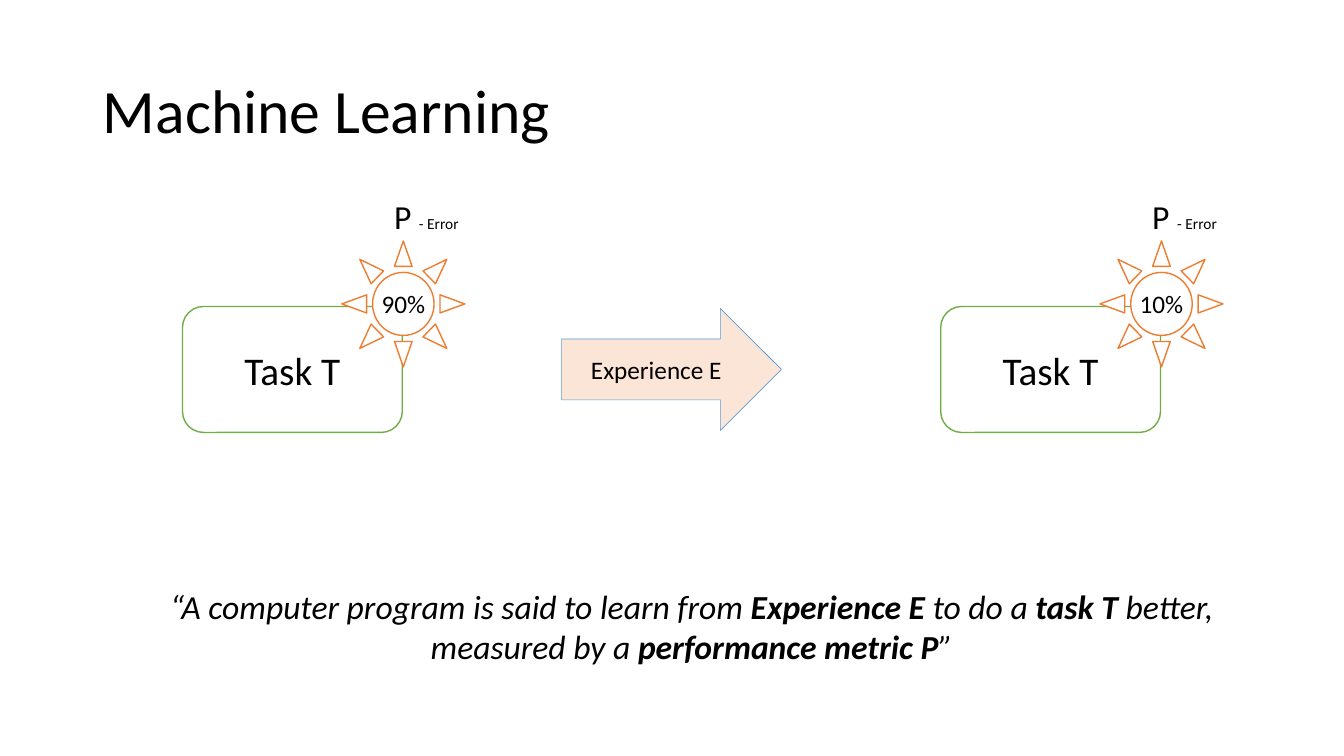
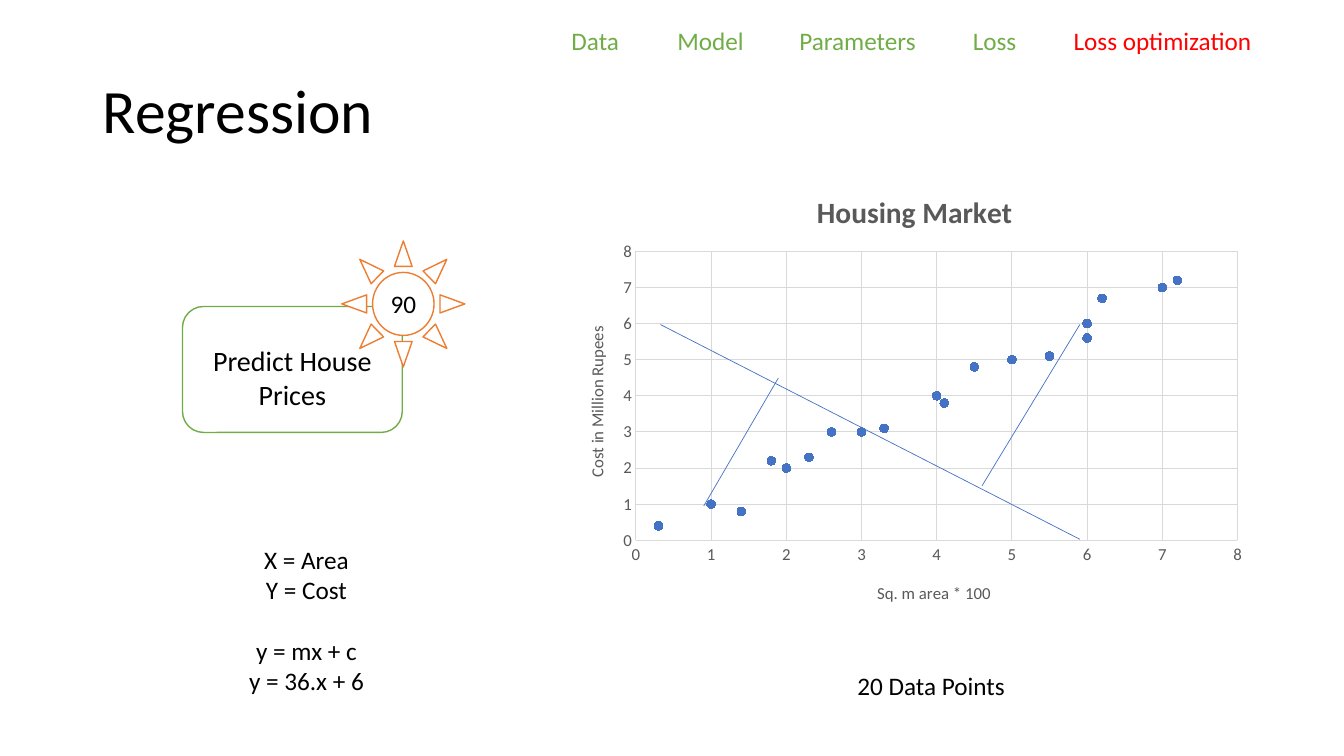
from dataclasses import dataclass

from lxml import etree
from pptx import Presentation, util as u
from pptx.chart.data import XyChartData
from pptx.dml.color import RGBColor
from pptx.enum import chart as charts, shapes, text
from pptx.oxml.ns import qn

# ---- Content ----
QUOTE = [
    [("“A computer program is said to learn from ", {}),
     ("Experience E", {"bold": True}), (" to do a ", {}),
     ("task T", {"bold": True}), (" better,", {})],
    [("measured by a ", {}), ("performance metric P", {"bold": True}),
     ("”", {})],
]
STAGES = [(1.81, "90%"), (9.33, "10%")]  # left edge, error
FORMULAS = ["X = Area", "Y = Cost", "y = mx + c", "y = 36.x + 6"]
STEPS = [("Data", 0), ("Model", 1.05), ("Parameters", 2.26),
         ("Loss", 3.98), ("Loss optimization", 4.98)]  # label, tab stop
HOUSES = [(5, 5), (6, 6), (7, 7), (1, 1), (2, 2), (3, 3), (4, 4), (1.4, 0.8),
          (1.8, 2.2), (3.3, 3.1), (4.1, 3.8), (5.5, 5.1), (6, 5.6),
          (6.2, 6.7), (4.5, 4.8), (2.3, 2.3), (0.3, 0.4), (7.2, 7.2),
          (2.6, 3)]
FIT_LINES = [((6.55, 3.22), (10.71, 5.35)), ((6.98, 5.02), (7.72, 3.75)),
             ((9.74, 4.82), (10.71, 3.22))]


# ---- Theme ----
@dataclass(frozen=True)
class Theme:
    font: str = "Calibri"
    ink: str = "000000"
    paper: str = "FFFFFF"
    green: str = "70AD47"
    orange: str = "ED7D31"
    peach: str = "FBE5D6"
    sky: str = "5B9BD5"
    blue: str = "4472C4"
    red: str = "FF0000"
    gray: str = "595959"
    grid: str = "D9D9D9"
    title: int = 44
    task: int = 28
    quote: int = 24
    chart_title: int = 21
    goal: int = 20
    body: int = 18
    axis: int = 12
    note: int = 11


T = Theme()
CENTER = text.PP_ALIGN.CENTER
MIDDLE = text.MSO_ANCHOR.MIDDLE


# ---- Helpers ----
def apply(target, **values):
    for name, value in values.items():
        setattr(target, name, value)


def rgb(code):
    return RGBColor.from_string(code)


def inches(*values):
    return [u.Inches(value) for value in values]


def style_font(font, size, color=T.ink, **values):
    apply(font, name=T.font, size=u.Pt(size), **values)
    font.color.rgb = rgb(color)


def style_line(line, color, width):
    line.color.rgb = rgb(color)
    line.width = u.Pt(width)


def write(frame, lines, size, align=text.PP_ALIGN.LEFT, **common):
    """Each line is a string or a list of (text, format) runs."""
    for i, line in enumerate(lines):
        paragraph = frame.paragraphs[0] if i == 0 else frame.add_paragraph()
        paragraph.alignment = align
        for words, extra in [(line, {})] if isinstance(line, str) else line:
            run = paragraph.add_run()
            run.text = words
            style_font(run.font, **{"size": size, **common, **extra})


def add_text(slide, box, lines, size, **values):
    frame = slide.shapes.add_textbox(*inches(*box)).text_frame
    frame.word_wrap = True
    write(frame, lines, size, **values)
    return frame


def add_figure(slide, kind, box, fill, line, lines, size, inset_top=0):
    figure = slide.shapes.add_shape(kind, *inches(*box))
    figure.shadow.inherit = False
    figure.fill.solid()
    figure.fill.fore_color.rgb = rgb(fill)
    style_line(figure.line, *line)
    frame = figure.text_frame
    apply(frame, word_wrap=False, vertical_anchor=MIDDLE, margin_left=0,
          margin_right=0, margin_top=u.Inches(inset_top), margin_bottom=0)
    write(frame, lines, size, CENTER)


def add_task(slide, left, task, size, performance, inset_top=0):
    """A task box with its performance sun on the top right corner."""
    add_figure(slide, shapes.MSO_SHAPE.ROUNDED_RECTANGLE,
               (left, 3.04, 2.18, 1.25), T.paper, (T.green, 1),
               task, size, inset_top)
    add_figure(slide, shapes.MSO_SHAPE.SUN, (left + 1.58, 2.39, 1.22, 1.25),
               T.paper, (T.orange, 1), [performance], T.body)


def add_slide(deck, heading):
    slide = deck.slides.add_slide(deck.slide_layouts[5])
    title = slide.shapes.title
    apply(title, **dict(zip(("left", "top", "width", "height"),
                            inches(0.92, 0.4, 11.5, 1.45))))
    title.text_frame.vertical_anchor = MIDDLE
    write(title.text_frame, [heading], T.title)
    title.text_frame.paragraphs[0].line_spacing = 0.9
    return slide


def place(part, **fractions):
    """Give a chart part a manual position, as fractions of the chart."""
    for old in part.findall(qn("c:layout")):
        part.remove(old)
    layout = etree.Element(qn("c:layout"))
    manual = etree.SubElement(layout, qn("c:manualLayout"))
    modes = {"xMode": "edge", "yMode": "edge"}
    if "w" in fractions:
        modes = {"layoutTarget": "inner", **modes}
    for name, value in {**modes, **fractions}.items():
        etree.SubElement(manual, qn(f"c:{name}")).set("val", str(value))
    part.insert(0 if part.find(qn("c:tx")) is None else 1, layout)


def add_chart_title(title, words, size, x, y, **values):
    write(title.text_frame, [words], size, CENTER, color=T.gray, **values)
    place(title.element, x=x, y=y)


# ---- Parts ----
def add_housing_chart(slide):
    data = XyChartData()
    points = data.add_series("Series 1")
    for area, cost in HOUSES:
        points.add_data_point(area, cost)
    chart = slide.shapes.add_chart(charts.XL_CHART_TYPE.XY_SCATTER,
                                   *inches(5.57, 1.62, 6.89, 4.53),
                                   data).chart
    style_font(chart.font, T.axis, T.gray)
    apply(chart, has_legend=False, has_title=True)
    add_chart_title(chart.chart_title, "Housing Market", T.chart_title,
                    0.36, 0.05, bold=True)
    place(chart.element.find(".//" + qn("c:plotArea")),
          x=0.107, y=0.193, w=0.866, h=0.633)

    plot = chart.plots[0]
    plot.vary_by_categories = False
    series = plot.series[0]
    series.format.line.fill.background()
    marker = series.marker
    apply(marker, style=charts.XL_MARKER_STYLE.CIRCLE, size=6)
    marker.format.fill.solid()
    marker.format.fill.fore_color.rgb = rgb(T.blue)
    marker.format.line.color.rgb = rgb(T.blue)

    area_axis, cost_axis = chart.category_axis, chart.value_axis
    for axis, words, x, y in [
            (area_axis, "Sq. m area * 100", 0.45, 0.91),
            (cost_axis, "Cost in Million Rupees", 0.03, 0.35)]:
        apply(axis, minimum_scale=0, maximum_scale=8, major_unit=1,
              has_major_gridlines=True, has_title=True,
              major_tick_mark=charts.XL_TICK_MARK.NONE,
              minor_tick_mark=charts.XL_TICK_MARK.NONE)
        style_font(axis.tick_labels.font, T.axis, T.gray)
        style_line(axis.major_gridlines.format.line, T.grid, 0.75)
        add_chart_title(axis.axis_title, words, T.axis, x, y, bold=False)
    style_line(area_axis.format.line, T.grid, 1)
    cost_axis.format.line.fill.background()
    turned = cost_axis.axis_title.element.find(".//" + qn("a:bodyPr"))
    turned.set("rot", "-5400000")
    turned.set("vert", "horz")


def add_fit_line(slide, start, end):
    line = slide.shapes.add_connector(shapes.MSO_CONNECTOR.STRAIGHT,
                                      *inches(*start, *end))
    style_line(line.line, T.blue, 0.5)
    etree.SubElement(line.element.spPr, qn("a:effectLst"))


def add_steps(slide):
    last = len(STEPS) - 1
    runs = [(("\t" if i else "") + label,
             {"color": T.red if i == last else T.green})
            for i, (label, _) in enumerate(STEPS)]
    frame = add_text(slide, (5.57, 0.2, 7.04, 0.4), [runs], T.body)
    properties = frame.paragraphs[0]._p.get_or_add_pPr()
    stops = etree.SubElement(properties, qn("a:tabLst"))
    for _, stop in STEPS[1:]:
        etree.SubElement(stops, qn("a:tab"), pos=str(u.Inches(stop)),
                         algn="l")


# ---- Slides ----
def build_learning(deck):
    slide = add_slide(deck, "Machine Learning")
    for left, error in STAGES:
        add_task(slide, left, ["Task T"], T.task, error)
        add_text(slide, (left + 2, 1.89, 1, 0.5),
                 [[("P ", {}), ("- Error", {"size": T.note})]], T.quote)
    add_figure(slide, shapes.MSO_SHAPE.RIGHT_ARROW, (5.57, 3.06, 2.18, 1.21),
               T.peach, (T.sky, 0.5), ["Experience E"], T.body)
    add_text(slide, (1.42, 5.76, 10.88, 0.91), QUOTE, T.quote,
             align=CENTER, italic=True)


def build_regression(deck):
    slide = add_slide(deck, "Regression")
    add_task(slide, STAGES[0][0], ["Predict House", "Prices"], T.goal, "90",
             inset_top=0.16)
    add_housing_chart(slide)
    add_text(slide, (8.35, 6.6, 1.77, 0.4), ["20 Data Points"], T.body,
             align=CENTER)
    for start, end in FIT_LINES:
        add_fit_line(slide, start, end)
    formulas = add_text(slide, (2.24, 5.35, 1.6, 1.6), FORMULAS, T.body,
                        align=CENTER)
    formulas.paragraphs[2].space_before = u.Pt(22)
    add_steps(slide)


def main():
    deck = Presentation()
    apply(deck, slide_width=u.Inches(13.33), slide_height=u.Inches(7.5))
    build_learning(deck)
    build_regression(deck)
    deck.save("out.pptx")


if __name__ == "__main__":
    main()
